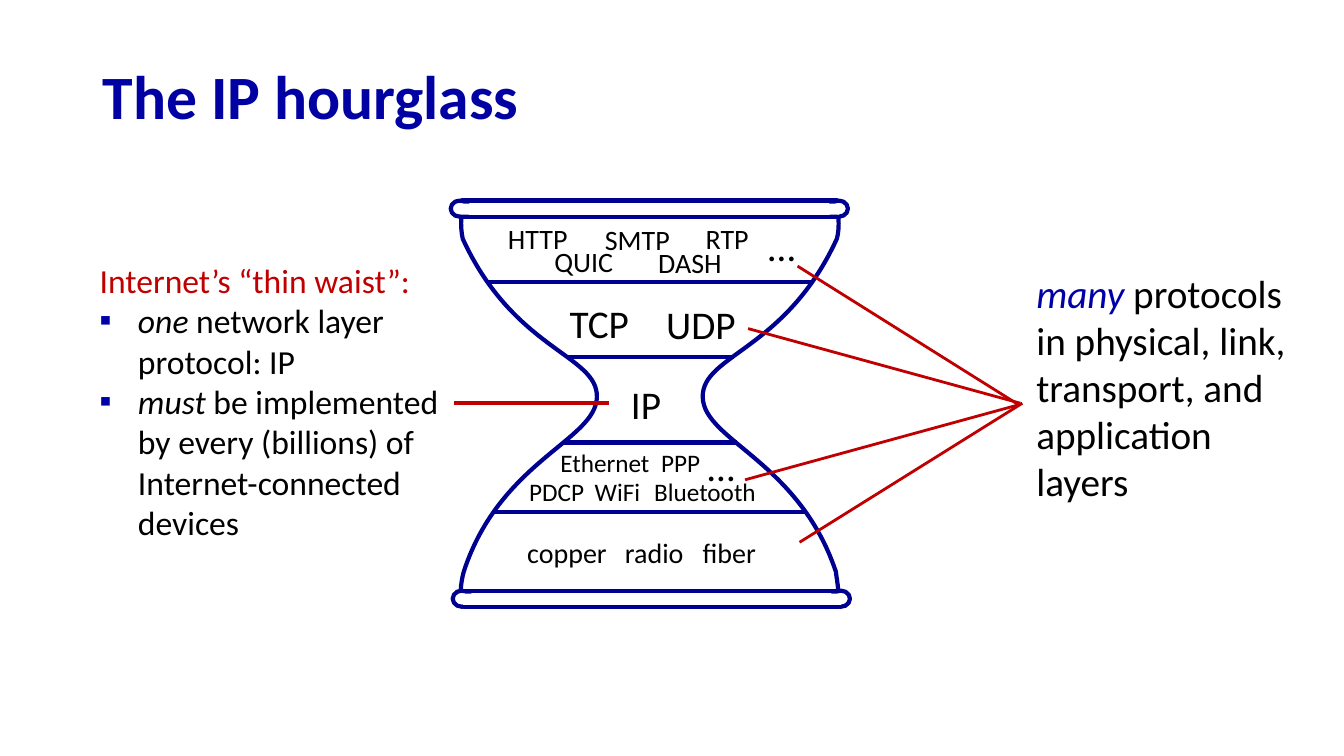
from lxml import etree
from pptx import Presentation
from pptx.dml.color import RGBColor
from pptx.enum.shapes import MSO_CONNECTOR, MSO_SHAPE
from pptx.enum.text import MSO_ANCHOR, MSO_AUTO_SIZE
from pptx.oxml.ns import qn
from pptx.util import Pt

PX = 9144  # 100 px to the inch
FONT = "Calibri"
BLACK, WHITE, RED = "000000", "FFFFFF", "C00000"
NAVY, BLUE, TITLE_BLUE = "000090", "0000A8", "0000A3"

# Each wall: start point, then cubic curves of two controls and an end.
WALLS = [
    [(458, 198),
     (458, 208), (456, 225), (459, 237),
     (510, 348), (593, 352), (592, 394),
     (591, 437), (496, 457), (460, 567),
     (456, 582), (457, 589), (457, 599)],
    [(831, 198),
     (830, 211), (834, 222), (830, 237),
     (779, 348), (696, 352), (697, 394),
     (698, 437), (792, 457), (829, 567),
     (831, 582), (832, 584), (831, 597)],
]
LAYER_DIVIDERS = [(563, 728, 354), (483, 806, 280), (490, 800, 508), (558, 731, 439)]
PROTOCOLS = [  # text, left, top, width, height, size, wrap
    ("IP", 616, 372, 50, 57, 28, False),
    ("TCP", 555, 292, 89, 57, 28, False),
    ("UDP", 651, 293, 90, 57, 28, False),
    ("HTTP", 494, 215, 80, 44, 20, False),
    ("SMTP", 590, 216, 85, 44, 20, False),
    ("QUIC", 540, 238, 79, 44, 20, False),
    ("DASH", 643, 239, 84, 44, 20, False),
    ("RTP", 690, 215, 63, 44, 20, False),
    ("…", 752, 216, 56, 57, 28, True),
    ("Ethernet", 546, 439, 134, 40, 18, True),
    ("WiFi", 580, 468, 89, 40, 18, True),
    ("Bluetooth", 639, 468, 130, 40, 18, True),
    ("PPP", 646, 439, 66, 40, 18, True),
    ("PDCP", 515, 468, 84, 40, 18, True),
    ("…", 692, 434, 56, 57, 28, True),
]
MEDIA_TABS = (97, 174)
MANY_POINTERS = [
    ((793, 538), (1014, 400)),
    ((1011, 402), (791, 264)),
    ((1012, 400), (742, 326)),
    ((1009, 402), (739, 476)),
]


def color(value):
    return RGBColor.from_string(value)


def set_line(shape, value, width):
    shape.line.color.rgb = color(value)
    shape.line.width = Pt(width)


def add_figure(page, kind, left, top, width, height, outlined=True):
    figure = page.shapes.add_shape(kind, left * PX, top * PX, width * PX, height * PX)
    figure.shadow.inherit = False
    figure.fill.solid()
    figure.fill.fore_color.rgb = color(WHITE)
    if outlined:
        set_line(figure, NAVY, 3)
    else:
        figure.line.fill.background()


def add_rule(page, start, end, value, width):
    rule = page.shapes.add_connector(
        MSO_CONNECTOR.STRAIGHT, *(length * PX for length in (*start, *end)))
    set_line(rule, value, width)
    etree.SubElement(rule._element.spPr, qn("a:effectLst"))
    return rule


def add_wall(page, points):
    """Draw an open outline, bending each segment with its two controls."""
    anchors = points[::3]
    builder = page.shapes.build_freeform(*anchors[0], scale=PX)
    builder.add_line_segments(anchors[1:], close=False)
    wall = builder.convert_to_shape()
    left, top = (min(values) for values in zip(*anchors))
    segments = list(wall._element.iter(qn("a:lnTo")))
    for index, segment in enumerate(segments):
        controls = points[3 * index + 1:3 * index + 3]
        for place, (x, y) in enumerate(controls):
            control = etree.Element(qn("a:pt"), x=str(x - left), y=str(y - top))
            segment.insert(place, control)
        segment.tag = qn("a:cubicBezTo")
    wall.shadow.inherit = False
    wall.fill.background()
    set_line(wall, NAVY, 3)


def add_rim(page, left, top):
    """Draw a bar with rounded ends, hiding the seams inside it."""
    add_figure(page, MSO_SHAPE.RECTANGLE, left, top, 372, 16)
    for knob, seam in ((-11, -1), (365, 350)):
        add_figure(page, MSO_SHAPE.OVAL, left + knob, top, 18, 16)
        add_figure(page, MSO_SHAPE.RECTANGLE, left + seam, top + 3, 24, 11, outlined=False)


def add_bullet(para):
    properties = para._p.get_or_add_pPr()
    properties.set("marL", str(38 * PX))
    properties.set("indent", str(-38 * PX))
    bullet_color = etree.SubElement(properties, qn("a:buClr"))
    etree.SubElement(bullet_color, qn("a:srgbClr"), val=BLUE)
    etree.SubElement(properties, qn("a:buFont"), typeface=FONT)
    etree.SubElement(properties, qn("a:buChar"), char="▪")


def add_tabs(para, stops):
    tabs = etree.SubElement(para._p.get_or_add_pPr(), qn("a:tabLst"))
    for stop in stops:
        etree.SubElement(tabs, qn("a:tab"), pos=str(stop * PX), algn="l")


def add_span(para, text, value=BLACK, **formats):
    span = para.add_run()
    span.text = text
    span.font.color.rgb = color(value)
    for name, setting in {"name": FONT, **formats}.items():
        setattr(span.font, name, setting)


def add_box(page, left, top, width, height, wrap=True, grow=True):
    box = page.shapes.add_textbox(left * PX, top * PX, width * PX, height * PX)
    box.text_frame.word_wrap = wrap
    if grow:
        box.text_frame.auto_size = MSO_AUTO_SIZE.SHAPE_TO_FIT_TEXT
    return box


def add_title(page):
    frame = add_box(page, 92, 50, 1150, 98, grow=False).text_frame
    frame.vertical_anchor = MSO_ANCHOR.MIDDLE
    para = frame.paragraphs[0]
    para.line_spacing = 0.9
    add_span(para, "The IP hourglass", TITLE_BLUE, size=Pt(44), bold=True)


def add_hourglass(page):
    for wall in WALLS:
        add_wall(page, wall)
    add_rim(page, 458, 199)
    for left, right, height in LAYER_DIVIDERS:
        add_rule(page, (left, height), (right, height), NAVY, 3)
    add_rim(page, 460, 586)
    for text, left, top, width, height, size, wrap in PROTOCOLS:
        frame = add_box(page, left, top, width, height, wrap).text_frame
        add_span(frame.paragraphs[0], text, size=Pt(size))
    media = add_box(page, 513, 526, 289, 44).text_frame.paragraphs[0]
    add_tabs(media, MEDIA_TABS)
    add_span(media, "copper\tradio\tfiber", size=Pt(20))


def add_waist_note(page):
    note = add_box(page, 89, 253, 361, 294)
    frame = note.text_frame
    add_span(frame.paragraphs[0], "Internet’s “thin waist”:", RED, size=Pt(24))
    for stressed, rest in (
            ("one", " network layer protocol: IP"),
            ("must", " be implemented by every (billions) of Internet-connected devices")):
        para = frame.add_paragraph()
        add_bullet(para)
        add_span(para, stressed, size=Pt(24), italic=True)
        add_span(para, rest, size=Pt(24))
    pointer = add_rule(page, (450, 400), (604, 400), RED, 2.5)
    pointer.begin_connect(note, 3)


def add_many_note(page):
    para = add_box(page, 1018, 262, 288, 246).text_frame.paragraphs[0]
    add_span(para, "many", BLUE, size=Pt(28), italic=True)
    add_span(para, " protocols in physical, link, transport, and application layers", size=Pt(28))
    for start, end in MANY_POINTERS:
        add_rule(page, start, end, RED, 2)


def main():
    deck = Presentation()
    deck.slide_width, deck.slide_height = 1333 * PX, 750 * PX
    page = deck.slides.add_slide(deck.slide_layouts[6])
    add_title(page)
    add_hourglass(page)
    add_waist_note(page)
    add_many_note(page)
    deck.save("out.pptx")


if __name__ == "__main__":
    main()
